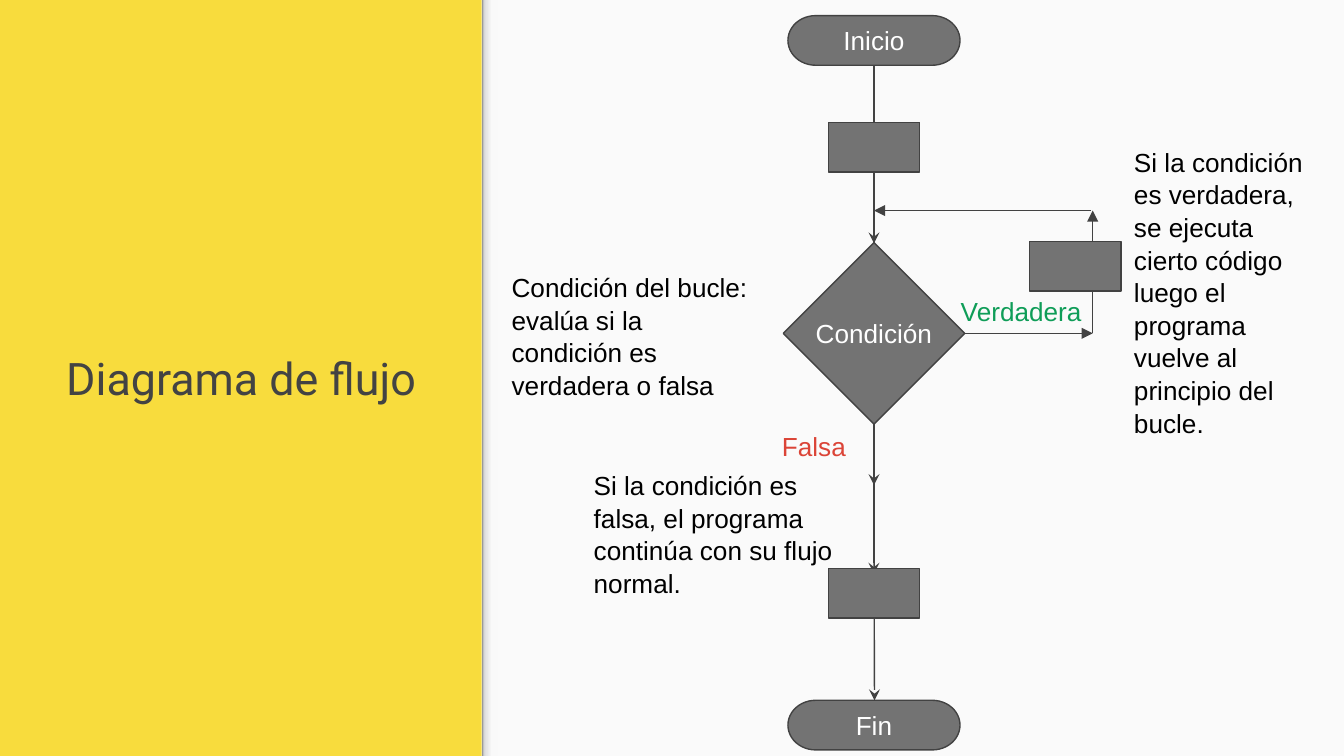
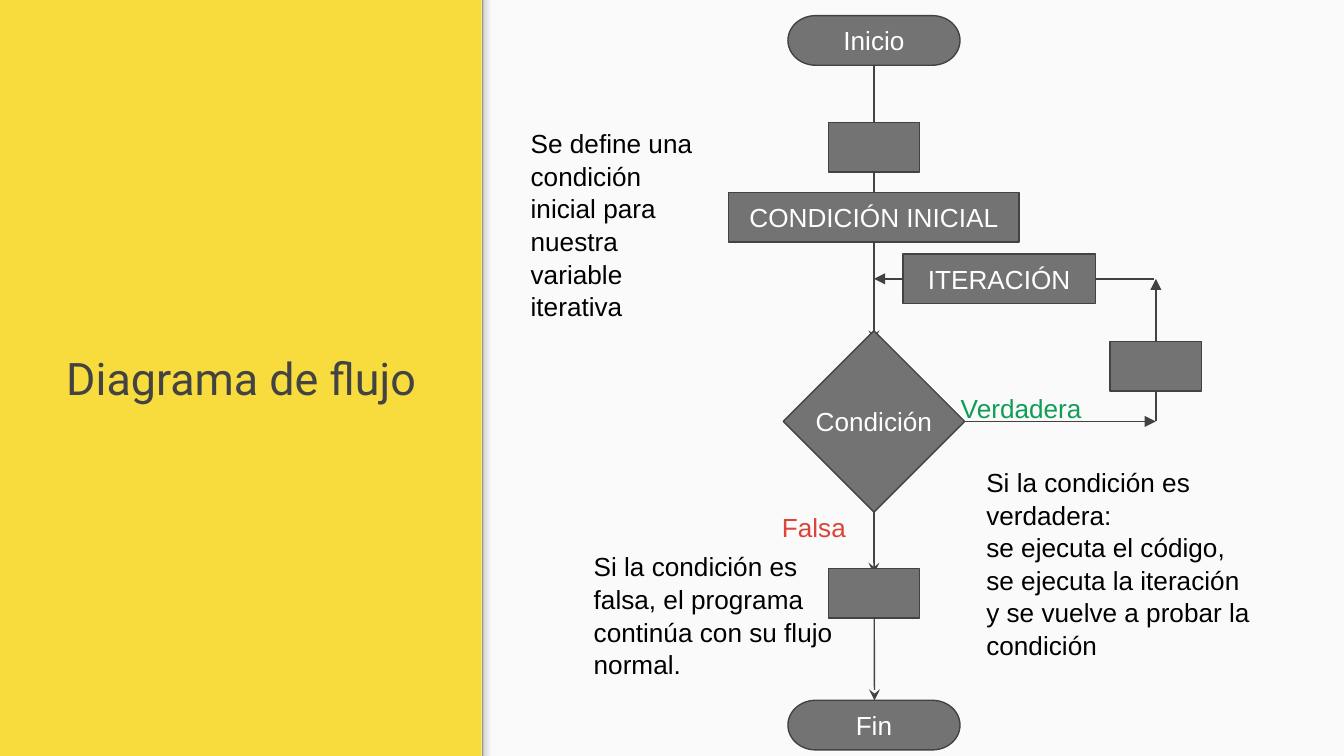
import copy

import pptx
import pptx.dml.color
import pptx.enum.shapes
import pptx.enum.text
import pptx.oxml.ns
import pptx.util
from lxml import etree

Pt = pptx.util.Pt
SHAPES = pptx.enum.shapes.MSO_SHAPE
ALIGN = pptx.enum.text.PP_ALIGN
ANCHOR = pptx.enum.text.MSO_ANCHOR
qn = pptx.oxml.ns.qn

COLORS = {
    "yellow": "F8DC3D",
    "panel": "FAFAFA",
    "title": "434343",
    "node": "737373",
    "line": "424242",
    "white": "FFFFFF",
    "black": "000000",
    "true": "0F9D58",
    "false": "DB4437",
}
EDGE_STOPS = [(0, "F9F9F9"), (0.36, "F9F9F9"), (0.8, "DEDEDE"), (1, "999999")]

WIDTH, HEIGHT = 720, 405
PANEL_LEFT = 258
SPINE = 468.2
STEP_WIDTH, NODE_HEIGHT = 49, 26.6
TERMINAL_WIDTH = 92.2
DIAMOND = 97.2
ARROW_LENGTH = 109.4
ARROW_TOPS = [73.5, 150.5, 198]
START_TOP, FIRST_STEP_TOP, LAST_STEP_TOP, END_TOP = 8.4, 65.6, 304.6, 375.2
FALSE_NOTE = "Si la condición es falsa, el programa continúa con su flujo normal."


def rgb(value):
    return pptx.dml.color.RGBColor.from_string(value)


def write(frame, text, size=14, font="Arial", color="black", align=ALIGN.LEFT, spacing=None):
    for index, line in enumerate(text.split("\n")):
        para = frame.paragraphs[0] if index == 0 else frame.add_paragraph()
        para.alignment = align
        para.line_spacing = spacing
        span = para.add_run()
        span.text = line
        span.font.size = Pt(size)
        span.font.name = font
        span.font.color.rgb = rgb(COLORS[color])


def add_text(page, text, left, top, width, height, anchor=ANCHOR.TOP, **style):
    box = page.shapes.add_textbox(Pt(left), Pt(top), Pt(width), Pt(height))
    frame = box.text_frame
    frame.word_wrap = True
    frame.vertical_anchor = anchor
    frame.margin_left = frame.margin_right = Pt(7.2)
    frame.margin_top = frame.margin_bottom = Pt(7.2)
    write(frame, text, **style)


def add_note(page, text, left, top, width, height, color="black"):
    add_text(page, text, left, top, width, height, color=color, spacing=1.04)


def add_plain(page, kind, left, top, width, height):
    shape = page.shapes.add_shape(kind, Pt(left), Pt(top), Pt(width), Pt(height))
    shape.shadow.inherit = False
    return shape


def add_node(page, kind, center, top, width, height=NODE_HEIGHT, text=""):
    node = add_plain(page, kind, center - width / 2, top, width, height)
    node.fill.solid()
    node.fill.fore_color.rgb = rgb(COLORS["node"])
    node.line.color.rgb = rgb(COLORS["line"])
    node.line.width = Pt(0.75)
    if text:
        frame = node.text_frame
        frame.word_wrap = False
        frame.vertical_anchor = ANCHOR.MIDDLE
        frame.margin_left = frame.margin_right = frame.margin_top = frame.margin_bottom = 0
        write(frame, text, color="white", align=ALIGN.CENTER)


def add_process(page, center, top, width=STEP_WIDTH, text=""):
    add_node(page, SHAPES.FLOWCHART_PROCESS, center, top, width, text=text)


def add_arrow(page, start, end, tail="triangle", head=None):
    arrow = page.shapes.add_connector(
        pptx.enum.shapes.MSO_CONNECTOR.STRAIGHT, *(Pt(value) for value in (*start, *end))
    )
    arrow.line.color.rgb = rgb(COLORS["line"])
    arrow.line.width = Pt(0.75)
    outline = arrow.line._get_or_add_ln()
    for tag, kind in (("a:headEnd", head), ("a:tailEnd", tail)):
        if kind:
            etree.SubElement(outline, qn(tag), type=kind)
    etree.SubElement(arrow._element.spPr, qn("a:effectLst"))


def add_edge_shade(page):
    thickness = 8.6
    left = PANEL_LEFT + thickness / 2 - HEIGHT / 2
    shade = add_plain(page, SHAPES.RECTANGLE, left, (HEIGHT - thickness) / 2, HEIGHT, thickness)
    shade.rotation = 270
    shade.line.fill.background()
    shade.fill.gradient()
    shade.fill.gradient_angle = 90
    stops = shade._element.spPr.find(qn("a:gradFill")).find(qn("a:gsLst"))
    for _ in range(len(EDGE_STOPS) - len(stops)):
        stops.append(copy.deepcopy(stops[0]))
    for stop, (position, color) in zip(shade.fill.gradient_stops, EDGE_STOPS):
        stop.position = position
        stop.color.rgb = rgb(color)


def add_page(deck):
    page = deck.slides.add_slide(deck.slide_layouts[6])
    page.background.fill.solid()
    page.background.fill.fore_color.rgb = rgb(COLORS["yellow"])
    panel = add_plain(page, SHAPES.RECTANGLE, PANEL_LEFT, 0, WIDTH - PANEL_LEFT, HEIGHT)
    panel.fill.solid()
    panel.fill.fore_color.rgb = rgb(COLORS["panel"])
    panel.line.fill.background()
    add_edge_shade(page)
    add_text(page, "Diagrama de flujo", 18.7, 165, 221, 75, anchor=ANCHOR.MIDDLE,
             size=24, font="Roboto", color="title", align=ALIGN.CENTER)
    return page


def add_flow(page, condition_y, return_x, return_y, branch_top):
    add_arrow(page, (SPINE, 21), (SPINE, 21 + ARROW_LENGTH), tail="stealth", head="oval")
    for top in ARROW_TOPS:
        add_arrow(page, (SPINE, top), (SPINE, top + ARROW_LENGTH), tail="stealth")
    add_arrow(page, (SPINE, 275), (SPINE + 0.3, END_TOP), tail="stealth")
    add_arrow(page, (SPINE + DIAMOND / 2, condition_y), (return_x, condition_y))
    add_arrow(page, (return_x, condition_y), (return_x, return_y))
    add_arrow(page, (return_x - 1, return_y), (SPINE, return_y))
    add_node(page, SHAPES.DIAMOND, SPINE, condition_y - DIAMOND / 2, DIAMOND, DIAMOND, "Condición")
    for text, top in (("Inicio", START_TOP), ("Fin", END_TOP)):
        add_node(page, SHAPES.FLOWCHART_TERMINATOR, SPINE, top, TERMINAL_WIDTH, text=text)
    for top in (FIRST_STEP_TOP, LAST_STEP_TOP):
        add_process(page, SPINE, top)
    add_process(page, return_x - 9.4 if branch_top < 150 else return_x, branch_top)


def add_branch_notes(page, true_top, false_top):
    add_note(page, "Verdadera", 507.6, true_top, 82.8, 38, color="true")
    add_note(page, "Falsa", 411.8, false_top, 51, 38, color="false")
    add_note(page, FALSE_NOTE, 311, false_top + 21.2, 152.8, 82)


def add_loop_page(deck):
    page = add_page(deck)
    add_flow(page, condition_y=178.6, return_x=585.4, return_y=112.8, branch_top=129.4)
    add_branch_notes(page, true_top=150.5, false_top=222.5)
    add_note(page, "Condición del bucle:\nevalúa si la condición es verdadera o falsa",
             267, 137.5, 144.7, 82)
    add_note(page, "Si la condición es verdadera, se ejecuta cierto código luego el programa "
             "vuelve al principio del bucle.", 600.4, 70.5, 111.6, 162.7)


def add_iteration_page(deck):
    page = add_page(deck)
    add_flow(page, condition_y=225.8, return_x=619.2, return_y=149.4, branch_top=182.9)
    add_process(page, SPINE, 103, 155.5, "CONDICIÓN INICIAL")
    add_process(page, 535.3, 136.1, 103, "ITERACIÓN")
    add_branch_notes(page, true_top=202.3, false_top=266)
    add_note(page, "Si la condición es verdadera:\nse ejecuta el código,\nse ejecuta la iteración\n"
             "y se vuelve a probar la condición", 521.3, 242, 174.2, 109.4)
    add_note(page, "Se define una condición inicial para nuestra variable iterativa",
             277.2, 60.5, 106.6, 112.3)


def main():
    deck = pptx.Presentation()
    deck.slide_width, deck.slide_height = Pt(WIDTH), Pt(HEIGHT)
    add_loop_page(deck)
    add_iteration_page(deck)
    deck.save("out.pptx")


if __name__ == "__main__":
    main()
